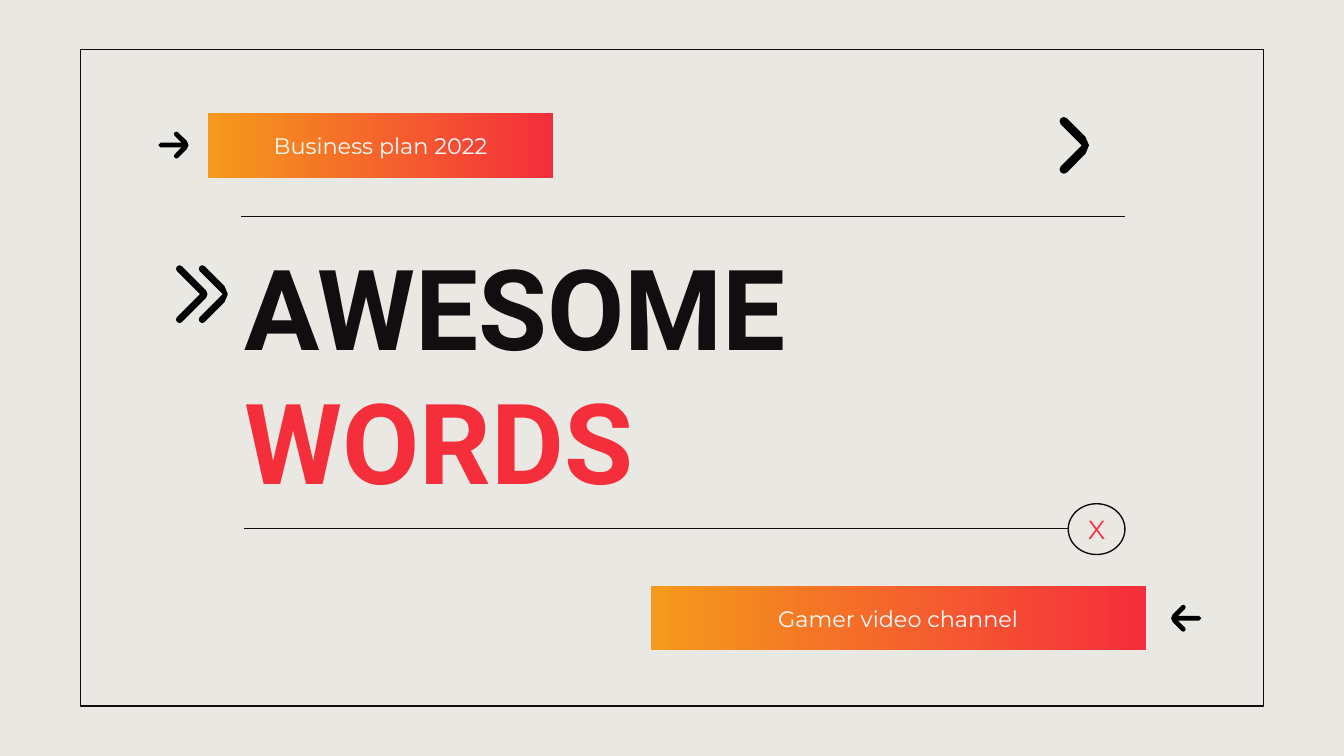
import math
from pptx import Presentation
from pptx.dml.color import RGBColor
from pptx.enum.shapes import MSO_CONNECTOR, MSO_SHAPE
from pptx.enum.text import MSO_ANCHOR, MSO_AUTO_SIZE, PP_ALIGN
from pptx.oxml.ns import qn
from pptx.util import Pt
from lxml import etree

RECTANGLE, OVAL = MSO_SHAPE.RECTANGLE, MSO_SHAPE.OVAL
STRAIGHT = MSO_CONNECTOR.STRAIGHT
MIDDLE, NO_FIT = MSO_ANCHOR.MIDDLE, MSO_AUTO_SIZE.NONE
LEFT, CENTER = PP_ALIGN.LEFT, PP_ALIGN.CENTER
INK, RED, ORANGE = "100E0E", "F52E3C", "F59A1B"
BLACK, WHITE, PAPER = "000000", "FFFFFF", "E9E8E3"
ROOT2 = math.sqrt(2)


def color(hex_string):
    return RGBColor.from_string(hex_string)


def add_text(paragraph, text, *, font, size, fill, bold=False, align=CENTER):
    paragraph.alignment = align
    run = paragraph.add_run()
    run.text = text
    run.font.name = font
    run.font.size = Pt(size)
    run.font.bold = bold
    run.font.color.rgb = color(fill)


def set_frame(frame):
    frame.word_wrap = True
    frame.auto_size = NO_FIT
    frame.vertical_anchor = MIDDLE
    frame.margin_left = frame.margin_right = Pt(7.2)
    frame.margin_top = frame.margin_bottom = Pt(7.2)


def add_label(slide, box, text, *, size, fill):
    label = slide.shapes.add_textbox(*map(Pt, box))
    set_frame(label.text_frame)
    add_text(label.text_frame.paragraphs[0], text, font="Montserrat", size=size, fill=fill)


def add_outline(slide, kind, box):
    outline = slide.shapes.add_shape(kind, *map(Pt, box))
    outline.shadow.inherit = False
    outline.fill.background()
    outline.line.color.rgb = color(INK)
    outline.line.width = Pt(0.75)


def add_rule(slide, left, right, y):
    rule = slide.shapes.add_connector(STRAIGHT, Pt(left), Pt(y), Pt(right), Pt(y))
    rule.line.color.rgb = color(INK)
    rule.line.width = Pt(0.75)
    etree.SubElement(rule._element.spPr, qn("a:effectLst"))


def add_tag(slide, box, text, text_width):
    left, top, width, height = box
    tag = slide.shapes.add_shape(RECTANGLE, *map(Pt, box))
    tag.shadow.inherit = False
    tag.fill.gradient()
    tag.fill.gradient_angle = 0
    for stop, shade in zip(tag.fill.gradient_stops, (ORANGE, RED)):
        stop.color.rgb = color(shade)
    tag.line.fill.background()
    text_box = (left + (width - text_width) / 2, top + height / 4, text_width, height / 2)
    add_label(slide, text_box, text, size=12, fill=WHITE)


def add_close_button(slide, box):
    left, top, width, height = box
    add_outline(slide, OVAL, box)
    add_label(slide, (left - 6.4, top + 4.3, width + 12.8, 18.7), "X", size=14, fill=RED)


def arc(x, y, radius, start, end, steps):
    angles = (math.radians(start + (end - start) * i / steps) for i in range(steps + 1))
    return [(x + radius * math.cos(a), y + radius * math.sin(a)) for a in angles]


def add_chevron(slide, box, half, *, shaft=0, mirrored=False, fill=BLACK, border=0):
    left, top, width, height = box
    middle, reach = top + height / 2, height / 2
    radius = (reach + half * ROOT2 - width) / (ROOT2 - 1)
    tip = left + width - radius
    end = left + half
    points = arc(end, top + half, half, -225, -45, 4)
    points += arc(tip, middle, radius, -45, 45, 2)
    points += arc(end, top + height - half, half, 45, 225, 4)
    notch = left + reach - half * ROOT2
    if shaft:
        points.append((notch - half, middle + half))
        points += arc(left - shaft + half, middle, half, 90, 270, 2)
        points.append((notch - half, middle - half))
    else:
        points.append((notch, middle))
    if mirrored:
        points = [(2 * left + width - shaft - x, y) for x, y in points]
    points = [(Pt(x), Pt(y)) for x, y in points]
    builder = slide.shapes.build_freeform(*points[0])
    builder.add_line_segments(points[1:], close=True)
    chevron = builder.convert_to_shape()
    chevron.shadow.inherit = False
    chevron.fill.solid()
    chevron.fill.fore_color.rgb = color(fill)
    if border:
        chevron.line.color.rgb = color(BLACK)
        chevron.line.width = Pt(border)
    else:
        chevron.line.fill.background()


def add_arrow(slide, box, mirrored=False):
    left, top, width, height = box
    head = 7.8
    shaft = width - head
    add_chevron(slide, (left + shaft, top, head, height), 1.3, shaft=shaft, mirrored=mirrored)


def add_double_chevron(slide, box):
    left, top, width, height = box
    for offset, part in ((width - 14, 14), (0, 15.3)):
        add_chevron(slide, (left + offset, top, part, height), 1.1, fill=INK, border=1.5)


def add_title(slide, box):
    title = slide.shapes.title
    title.left, title.top, title.width, title.height = map(Pt, box)
    set_frame(title.text_frame)
    paragraph = title.text_frame.paragraphs[0]
    for words, shade in (("AWESOME ", INK), ("WORDS", RED)):
        add_text(paragraph, words, font="Roboto", size=60, fill=shade, bold=True, align=LEFT)


def build_cover(slide, box):
    left, top, width, height = box
    slide.background.fill.solid()
    slide.background.fill.fore_color.rgb = color(PAPER)
    add_outline(slide, RECTANGLE, box)

    tag_height, arrow_height = 34.5, 14.4
    top_tag, bottom_tag = top + 34.1, top + height - 64.3
    arrow_drop = (tag_height - arrow_height) / 2
    add_tag(slide, (left + 68.2, top_tag, 185, tag_height), "Business plan 2022", 135.4)
    add_arrow(slide, (left + 41.6, top_tag + arrow_drop - 0.3, 16.2, arrow_height))
    add_chevron(slide, (left + 524.4, top + 36, 15.8, 30.4), 2.3)

    add_rule(slide, left + 85.8, left + 559.6, top + 89.4)
    add_double_chevron(slide, (left + 51.9, top + 116.2, 26.2, 29.4))
    add_title(slide, (left + 80.6, top + 93.6, 501.1, 158.4))
    add_rule(slide, left + 87.4, left + 528.8, top + 256.4)
    add_close_button(slide, (left + 529.1, top + 243.2, 30.4, 27.2))

    add_tag(slide, (left + 305.4, bottom_tag, 265.2, tag_height), "Gamer video channel", 187.9)
    add_arrow(slide, (left + 584.2, bottom_tag + arrow_drop, 16.2, arrow_height), mirrored=True)


def main():
    deck = Presentation()
    deck.slide_width, deck.slide_height = Pt(720), Pt(405)
    slide = deck.slides.add_slide(deck.slide_layouts[5])
    build_cover(slide, (43.2, 26.7, 633.6, 351.6))
    deck.save("out.pptx")


if __name__ == "__main__":
    main()
